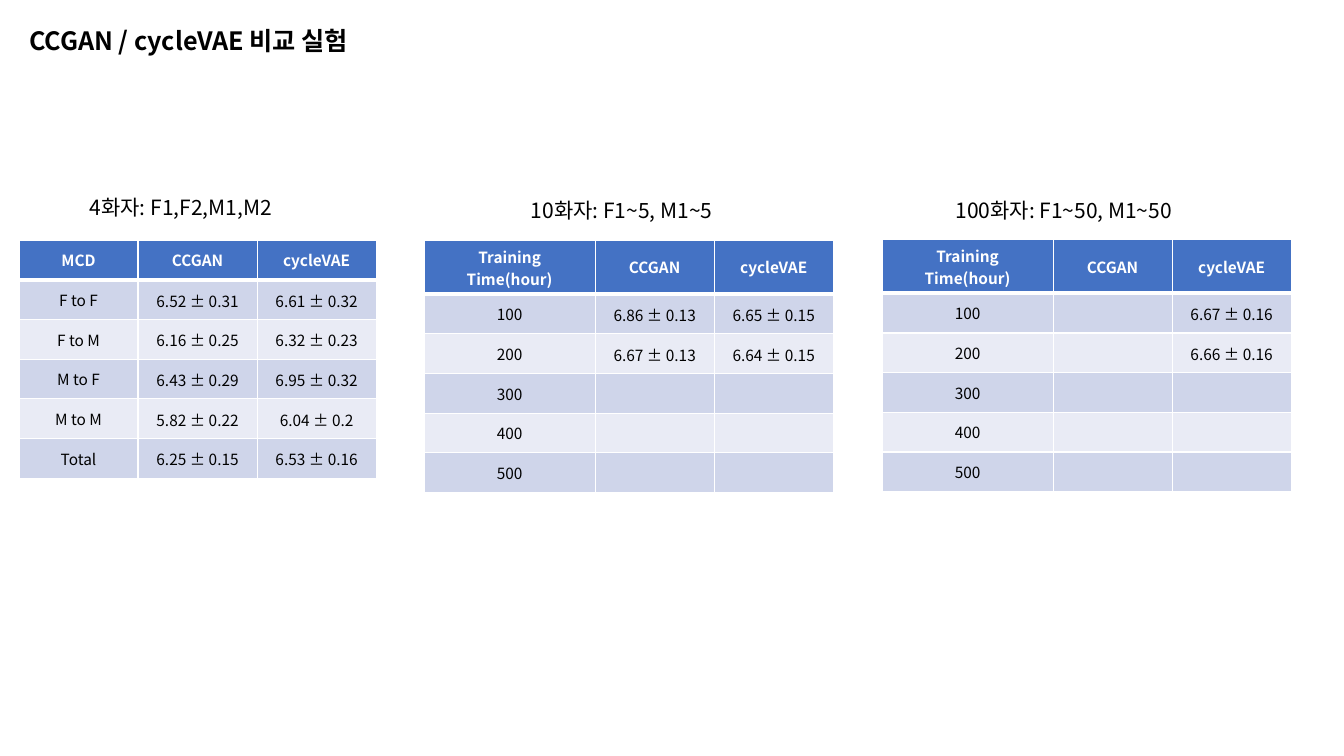
from dataclasses import dataclass

from lxml import etree
from pptx import Presentation
from pptx.dml.color import RGBColor
from pptx.enum.text import MSO_ANCHOR, MSO_AUTO_SIZE, PP_ALIGN
from pptx.oxml.ns import qn
from pptx.slide import Slide
from pptx.table import _Cell
from pptx.text.text import TextFrame, _Paragraph
from pptx.util import Cm, Pt

LEFT, CENTER = PP_ALIGN.LEFT, PP_ALIGN.CENTER
TOP, MIDDLE = MSO_ANCHOR.TOP, MSO_ANCHOR.MIDDLE
FIT_SHAPE = MSO_AUTO_SIZE.SHAPE_TO_FIT_TEXT

FONT = "Noto Sans CJK KR"
TABLE_TEXT_SIZE = 11
COLORS = {
    "text": "000000",
    "header_text": "FFFFFF",
    "border": "FFFFFF",
    "header": "4472C4",
    "odd_row": "CFD5EA",
    "even_row": "E9EBF5",
}
ROW_HEIGHT = 1.0
TWO_LINE_HEIGHT = 1.36
MODEL_WIDTH = 3.0
MODELS = ("CCGAN", "cycleVAE")


@dataclass(frozen=True)
class Experiment:
    """One captioned result table; lengths are centimetres."""

    caption: str
    caption_left: float
    caption_top: float
    caption_width: float
    table_left: float
    table_top: float
    label_width: float
    header_height: float
    label_header: str
    results: tuple[tuple[str, str, str], ...]


EXPERIMENTS = (
    Experiment(
        "4화자: F1,F2,M1,M2", 2.01, 4.78, 5.92,
        0.48, 6.05, 3.0, ROW_HEIGHT, "MCD",
        (
            ("F to F", "6.52 ± 0.31", "6.61 ± 0.32"),
            ("F to M", "6.16 ± 0.25", "6.32 ± 0.23"),
            ("M to F", "6.43 ± 0.29", "6.95 ± 0.32"),
            ("M to M", "5.82 ± 0.22", "6.04 ± 0.2"),
            ("Total", "6.25 ± 0.15", "6.53 ± 0.16"),
        ),
    ),
    Experiment(
        "10화자: F1~5, M1~5", 13.13, 4.85, 6.99,
        10.69, 6.05, 4.31, TWO_LINE_HEIGHT, "Training Time(hour)",
        (
            ("100", "6.86 ± 0.13", "6.65 ± 0.15"),
            ("200", "6.67 ± 0.13", "6.64 ± 0.15"),
            ("300", "", ""),
            ("400", "", ""),
            ("500", "", ""),
        ),
    ),
    Experiment(
        "100화자: F1~50, M1~50", 23.83, 4.85, 7.54,
        22.23, 6.03, 4.31, TWO_LINE_HEIGHT, "Training Time(hour)",
        (
            ("100", "", "6.67 ± 0.16"),
            ("200", "", "6.66 ± 0.16"),
            ("300", "", ""),
            ("400", "", ""),
            ("500", "", ""),
        ),
    ),
)


def rgb(name: str) -> RGBColor:
    return RGBColor.from_string(COLORS[name])


def format_paragraph(
    paragraph: _Paragraph, size: int, color: str, bold: bool, align: PP_ALIGN
) -> None:
    paragraph.alignment = align
    for run in paragraph.runs:
        font = run.font
        font.size, font.bold, font.name = Pt(size), bold, FONT
        font.color.rgb = rgb(color)
        east_asian = etree.SubElement(font._element, qn("a:ea"))
        east_asian.set("typeface", FONT)
    if not paragraph.runs:
        end_mark = etree.SubElement(paragraph._p, qn("a:endParaRPr"))
        end_mark.set("sz", str(size * 100))


def write_text(frame: TextFrame, text: str, size: int, bold: bool, wrap: bool) -> None:
    frame.text = text
    frame.word_wrap = wrap
    frame.auto_size = FIT_SHAPE
    frame.vertical_anchor = TOP
    format_paragraph(frame.paragraphs[0], size, "text", bold, LEFT)


def set_borders(cell: _Cell, top: int, bottom: int) -> None:
    """Draw the cell's edges; widths are points, the sides always 1."""
    properties = cell._tc.get_or_add_tcPr()
    widths = {"a:lnL": 1, "a:lnR": 1, "a:lnT": top, "a:lnB": bottom}
    for position, (tag, width) in enumerate(widths.items()):
        edge = etree.Element(qn(tag), w=str(Pt(width)))
        fill = etree.SubElement(edge, qn("a:solidFill"))
        etree.SubElement(fill, qn("a:srgbClr"), val=COLORS["border"])
        properties.insert(position, edge)


def fill_cell(cell: _Cell, text: str, row: int, column: int) -> None:
    is_header = row == 0
    cell.text_frame.text = text
    cell.vertical_anchor = MIDDLE
    text_color = "header_text" if is_header else "text"
    format_paragraph(
        cell.text_frame.paragraphs[0], TABLE_TEXT_SIZE, text_color, is_header, CENTER
    )
    if text and row and column:
        cell.margin_left = cell.margin_right = cell.margin_top = Cm(0.03)
        cell.margin_bottom = 0
    band = "header" if is_header else "odd_row" if row % 2 else "even_row"
    cell.fill.solid()
    cell.fill.fore_color.rgb = rgb(band)
    set_borders(cell, top=3 if row == 1 else 1, bottom=3 if is_header else 1)


def add_experiment(slide: Slide, experiment: Experiment) -> None:
    rows = ((experiment.label_header, *MODELS), *experiment.results)
    widths = (experiment.label_width, *(MODEL_WIDTH for _ in MODELS))
    heights = (experiment.header_height, *(ROW_HEIGHT for _ in experiment.results))
    table = slide.shapes.add_table(
        len(rows), len(widths),
        Cm(experiment.table_left), Cm(experiment.table_top),
        Cm(sum(widths)), Cm(sum(heights)),
    ).table
    for column, width in enumerate(widths):
        table.columns[column].width = Cm(width)
    for row, (values, height) in enumerate(zip(rows, heights)):
        table.rows[row].height = Cm(height)
        for column, value in enumerate(values):
            fill_cell(table.cell(row, column), value, row, column)

    caption = slide.shapes.add_textbox(
        Cm(experiment.caption_left), Cm(experiment.caption_top),
        Cm(experiment.caption_width), Cm(0.99),
    )
    write_text(caption.text_frame, experiment.caption, 15, bold=False, wrap=True)


def add_title(slide: Slide) -> None:
    title = slide.shapes.title
    title.left, title.top, title.width, title.height = Cm(0.48), Cm(0.5), Cm(9.14), Cm(1.02)
    write_text(title.text_frame, "CCGAN / cycleVAE 비교 실험", 18, bold=True, wrap=False)


def main() -> None:
    presentation = Presentation()
    presentation.slide_width, presentation.slide_height = Cm(33.87), Cm(19.05)
    slide = presentation.slides.add_slide(presentation.slide_layouts[5])
    add_title(slide)
    for experiment in EXPERIMENTS:
        add_experiment(slide, experiment)
    presentation.save("out.pptx")


if __name__ == "__main__":
    main()
